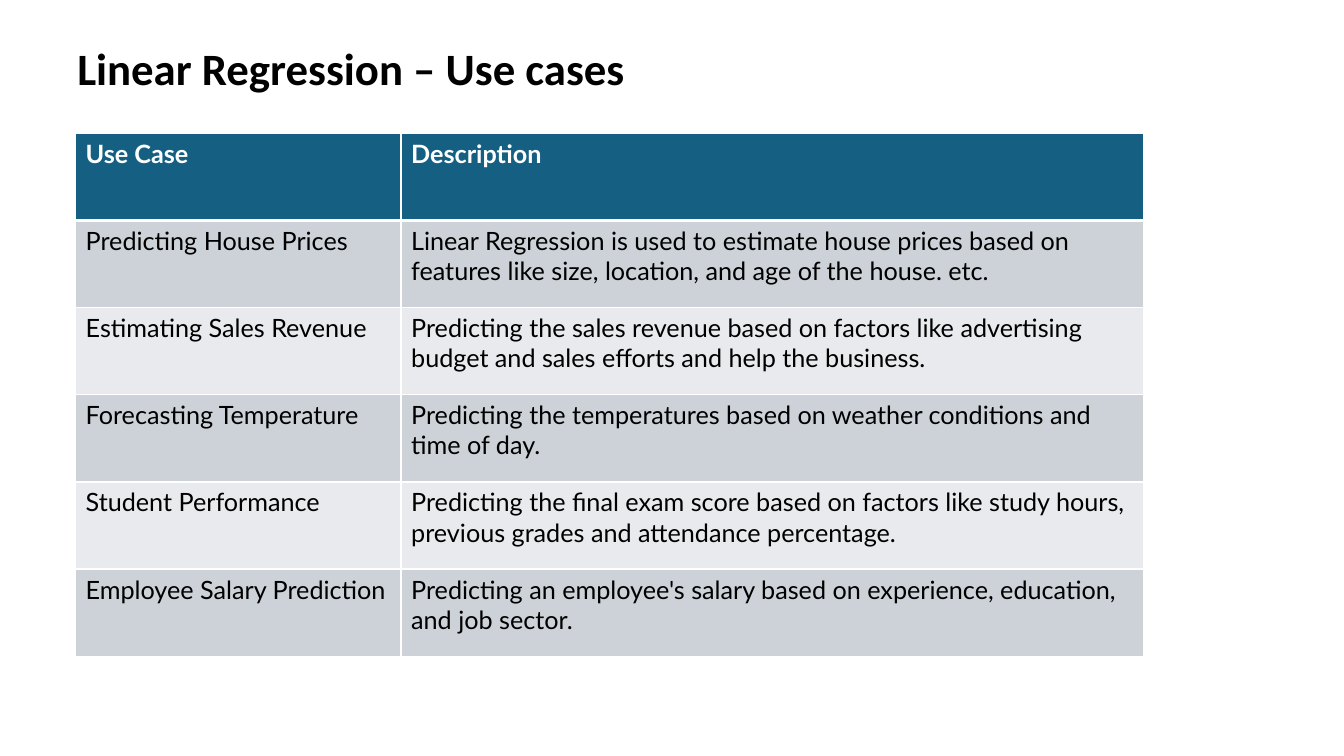
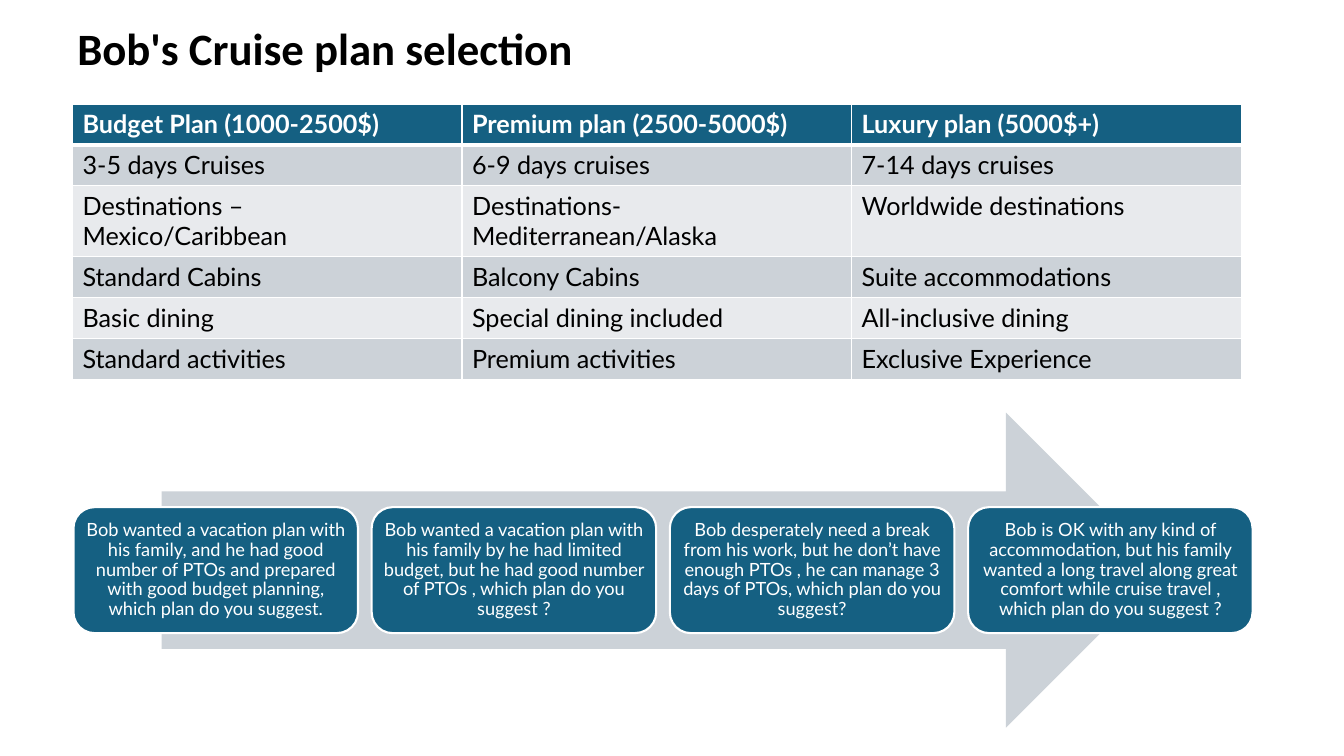
from dataclasses import dataclass

from lxml.etree import SubElement
from pptx import Presentation
from pptx.dml.color import RGBColor
from pptx.enum.shapes import MSO_SHAPE
from pptx.enum.text import MSO_ANCHOR, MSO_AUTO_SIZE, PP_ALIGN
from pptx.oxml.ns import qn
from pptx.util import Emu, Pt

EMU_PER_PX = 9525
COLORS = {
    "text": "000000",
    "white": "FFFFFF",
    "accent": "156082",
    "band_dark": "CCD2D8",
    "band_light": "E8EAED",
}
TITLE_FONT, BODY_FONT = "Calibri", "Lato"
TITLE_LEFT, TITLE_WIDTH, TITLE_HEIGHT = 64, 1152, 71
TITLE_ONLY_LAYOUT = 5
THIN_BORDER, HEADER_BORDER = 1, 3


@dataclass(frozen=True)
class Frame:
    left: int
    top: int
    width: int
    height: int

    def emu(self) -> tuple[Emu, ...]:
        return tuple(px(v) for v in (self.left, self.top, self.width, self.height))


@dataclass(frozen=True)
class TableSpec:
    left: int
    top: int
    columns: tuple[int, ...]
    row_heights: tuple[int, ...]
    rows: tuple[tuple[str, ...], ...]


USE_CASES = TableSpec(72, 127, (310, 707), (83,) * 6, (
    ("Use Case", "Description"),
    ("Predicting House Prices",
     "Linear Regression is used to estimate house prices based on features "
     "like size, location, and age of the house. etc."),
    ("Estimating Sales Revenue",
     "Predicting the sales revenue based on factors like advertising budget "
     "and sales efforts and help the business."),
    ("Forecasting Temperature",
     "Predicting the temperatures based on weather conditions and time of day."),
    ("Student Performance",
     "Predicting the final exam score based on factors like study hours, "
     "previous grades and attendance percentage."),
    ("Employee Salary Prediction",
     "Predicting an employee's salary based on experience, education, and job sector."),
))

CRUISE_PLANS = TableSpec(69, 99, (371,) * 3, (39, 39, 66, 39, 39, 39), (
    ("Budget Plan (1000-2500$)", "Premium plan (2500-5000$)", "Luxury plan (5000$+)"),
    ("3-5 days Cruises", "6-9 days cruises", "7-14 days cruises"),
    ("Destinations – Mexico/Caribbean", "Destinations- Mediterranean/Alaska",
     "Worldwide destinations"),
    ("Standard Cabins", "Balcony Cabins", "Suite accommodations"),
    ("Basic dining", "Special dining included", "All-inclusive dining"),
    ("Standard activities", "Premium activities", "Exclusive Experience"),
))

SCENARIOS = (
    "Bob wanted a vacation plan with his family, and he had good number of PTOs "
    "and prepared with good budget planning, which plan do you suggest.",
    "Bob wanted a vacation plan with his family by he had limited budget, but he "
    "had good number of PTOs , which plan do you suggest ?",
    "Bob desperately need a break from his work, but he don’t have enough PTOs , "
    "he can manage 3 days of PTOs, which plan do you suggest?",
    "Bob is OK with any kind of accommodation, but his family wanted a long travel "
    "along great comfort while cruise travel , which plan do you suggest ?",
)
SCENARIO_ARROW = Frame(154, 393, 954, 300)
FIRST_CARD = Frame(70, 483, 271, 120)
CARD_GAP = 13


def px(value: int) -> Emu:
    return Emu(value * EMU_PER_PX)


def color(name: str) -> RGBColor:
    return RGBColor.from_string(COLORS[name])


def style_font(paragraph, name: str, size: int, color_name: str, bold: bool = False) -> None:
    font = paragraph.font
    font.name, font.size, font.bold = name, Pt(size), bold
    font.color.rgb = color(color_name)


def add_page(deck, title: str, title_top: int):
    page = deck.slides.add_slide(deck.slide_layouts[TITLE_ONLY_LAYOUT])
    box = page.shapes.title
    frame = Frame(TITLE_LEFT, title_top, TITLE_WIDTH, TITLE_HEIGHT)
    box.left, box.top, box.width, box.height = frame.emu()
    text = box.text_frame
    text.text = title
    text.auto_size = MSO_AUTO_SIZE.NONE
    text.vertical_anchor = MSO_ANCHOR.MIDDLE
    paragraph = text.paragraphs[0]
    paragraph.alignment = PP_ALIGN.LEFT
    paragraph.line_spacing = 0.9
    style_font(paragraph, TITLE_FONT, 32, "text", bold=True)
    return page


def set_borders(cell, top: int, bottom: int) -> None:
    """Draw white cell borders; call before the cell is filled."""
    properties = cell._tc.get_or_add_tcPr()
    widths = {"lnL": THIN_BORDER, "lnR": THIN_BORDER, "lnT": top, "lnB": bottom}
    for tag, width in widths.items():
        line = SubElement(properties, qn(f"a:{tag}"), w=str(Pt(width)))
        fill = SubElement(line, qn("a:solidFill"))
        SubElement(fill, qn("a:srgbClr"), val=COLORS["white"])


def add_banded_table(page, spec: TableSpec) -> None:
    frame = Frame(spec.left, spec.top, sum(spec.columns), sum(spec.row_heights))
    table = page.shapes.add_table(len(spec.rows), len(spec.columns), *frame.emu()).table
    for column, width in zip(table.columns, spec.columns):
        column.width = px(width)
    for index, (row, height, texts) in enumerate(zip(table.rows, spec.row_heights, spec.rows)):
        row.height = px(height)
        is_header = index == 0
        band = "accent" if is_header else "band_dark" if index % 2 else "band_light"
        for cell, text in zip(row.cells, texts):
            set_borders(cell,
                        top=HEADER_BORDER if index == 1 else THIN_BORDER,
                        bottom=HEADER_BORDER if is_header else THIN_BORDER)
            cell.fill.solid()
            cell.fill.fore_color.rgb = color(band)
            cell.text = text
            style_font(cell.text_frame.paragraphs[0], BODY_FONT, 18,
                       "white" if is_header else "text", bold=is_header)


def add_filled_shape(page, kind: MSO_SHAPE, frame: Frame, fill: str):
    shape = page.shapes.add_shape(kind, *frame.emu())
    shape.shadow.inherit = False
    shape.fill.solid()
    shape.fill.fore_color.rgb = color(fill)
    shape.line.fill.background()
    return shape


def add_card(page, frame: Frame, text: str) -> None:
    card = add_filled_shape(page, MSO_SHAPE.ROUNDED_RECTANGLE, frame, "accent")
    card.line.color.rgb = color("white")
    card.line.width = Pt(1.5)
    body = card.text_frame
    body.word_wrap = True
    body.vertical_anchor = MSO_ANCHOR.MIDDLE
    body.margin_left = body.margin_right = body.margin_top = body.margin_bottom = px(5)
    body.text = text
    paragraph = body.paragraphs[0]
    paragraph.alignment = PP_ALIGN.CENTER
    paragraph.line_spacing = 0.9
    style_font(paragraph, BODY_FONT, 13, "white")


def add_scenarios(page) -> None:
    add_filled_shape(page, MSO_SHAPE.RIGHT_ARROW, SCENARIO_ARROW, "band_dark")
    for index, text in enumerate(SCENARIOS):
        left = FIRST_CARD.left + index * (FIRST_CARD.width + CARD_GAP)
        add_card(page, Frame(left, FIRST_CARD.top, FIRST_CARD.width, FIRST_CARD.height), text)


def main() -> None:
    deck = Presentation()
    deck.slide_width, deck.slide_height = px(1280), px(720)

    use_case_page = add_page(deck, "Linear Regression – Use cases", title_top=32)
    add_banded_table(use_case_page, USE_CASES)

    cruise_page = add_page(deck, "Bob's Cruise plan selection", title_top=13)
    add_banded_table(cruise_page, CRUISE_PLANS)
    add_scenarios(cruise_page)

    deck.save("out.pptx")


if __name__ == "__main__":
    main()
